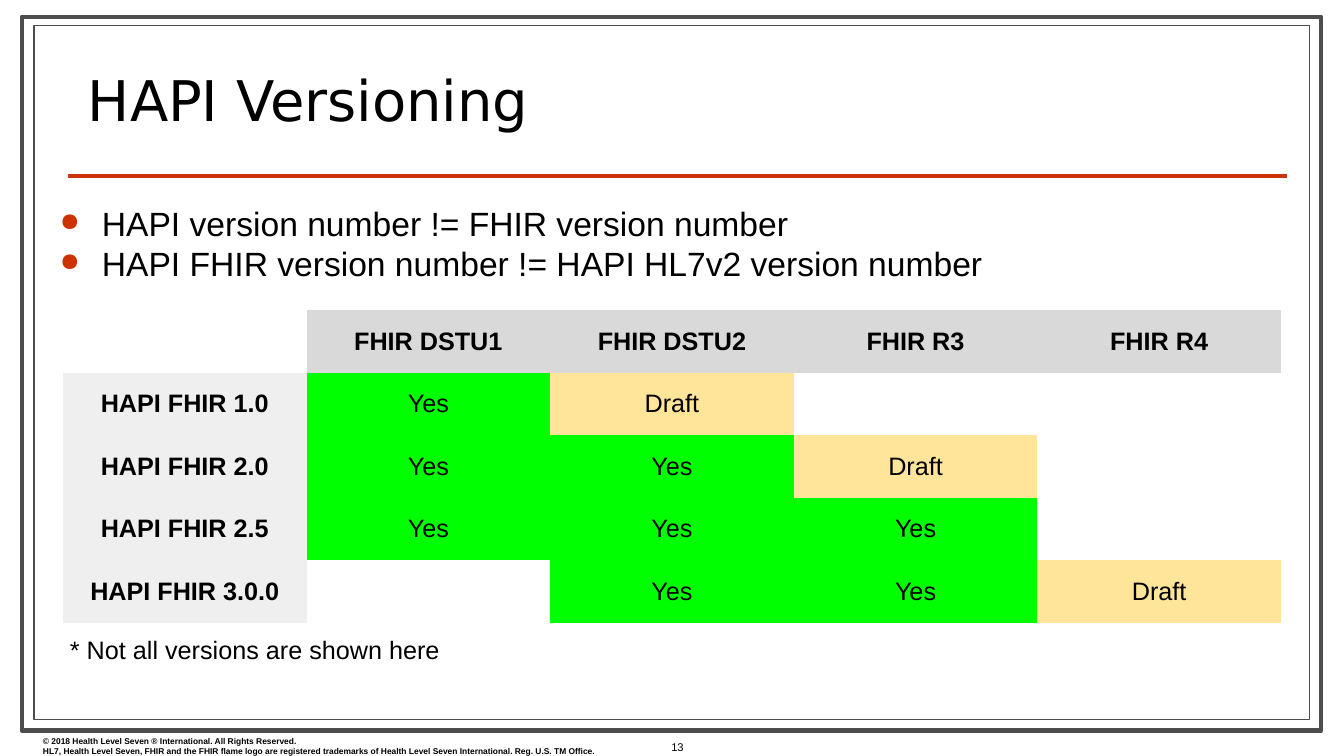
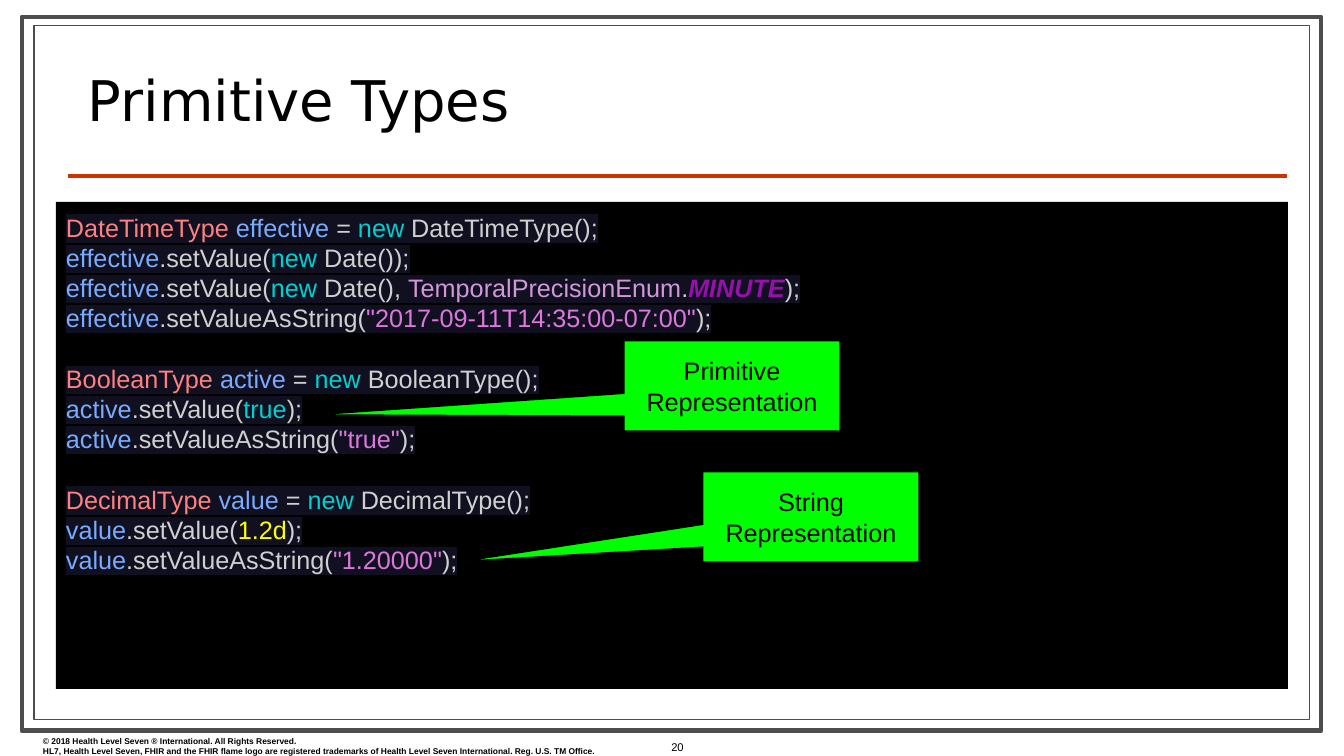
from lxml.etree import SubElement
from pptx import Presentation
from pptx.dml.color import RGBColor
from pptx.enum.shapes import MSO_CONNECTOR as Connector, MSO_SHAPE as Shape
from pptx.enum.text import MSO_ANCHOR as Anchor, PP_ALIGN as Align
from pptx.oxml.ns import qn
from pptx.util import Emu, Pt

SCALE = 914400 / 100.8
SLIDE_SIZE = (1344, 756)
BODY_FONT, TITLE_FONT = "Arial", "DejaVu Sans"
PLAIN_TABLE = "{2D5ABB26-0587-4C30-8999-92F81FD0307C}"

COLORS = {
    "ink": "000000", "paper": "FFFFFF", "frame": "4D4D4D", "accent": "CC3300",
    "column head": "D9D9D9", "row head": "EFEFEF", "Yes": "00FF00", "Draft": "FFE599",
    "callout": "00FF00", "highlight": "101020",
    "class": "FF8080", "variable": "79ABFF", "plain": "D0D0D0", "keyword": "00D0D0",
    "enum": "D197D9", "constant": "970FAC", "string": "DC78DC", "number": "FFFF00",
}

FRAMES = [((22, 17, 1299, 714), 3.5), ((34, 26, 1276, 694), 0.75)]
COPYRIGHT = [
    "© 2018 Health Level Seven ® International. All Rights Reserved.",
    "HL7, Health Level Seven, FHIR and the FHIR flame logo are registered trademarks of "
    "Health Level Seven International. Reg. U.S. TM Office.",
]

VERSION_RULES = [
    "HAPI version number != FHIR version number",
    "HAPI FHIR version number != HAPI HL7v2 version number",
]
SUPPORT = [
    ["", "FHIR DSTU1", "FHIR DSTU2", "FHIR R3", "FHIR R4"],
    ["HAPI FHIR 1.0", "Yes", "Draft", "", ""],
    ["HAPI FHIR 2.0", "Yes", "Yes", "Draft", ""],
    ["HAPI FHIR 2.5", "Yes", "Yes", "Yes", ""],
    ["HAPI FHIR 3.0.0", "", "Yes", "Yes", "Draft"],
]
SUPPORT_BOX = (63, 310, 1218, 313)
VERSION_NOTE = "* Not all versions are shown here"

CODE_BLOCKS = [
    [
        [("class", "DateTimeType "), ("variable", "effective "), ("plain", "= "),
         ("keyword", "new "), ("plain", "DateTimeType();")],
        [("variable", "effective"), ("plain", ".setValue("), ("keyword", "new "),
         ("plain", "Date());")],
        [("variable", "effective"), ("plain", ".setValue("), ("keyword", "new "),
         ("plain", "Date(), "), ("enum", "TemporalPrecisionEnum"), ("plain", "."),
         ("constant", "MINUTE"), ("plain", ");")],
        [("variable", "effective"), ("plain", ".setValueAsString("),
         ("string", '"2017-09-11T14:35:00-07:00"'), ("plain", ");")],
    ],
    [
        [("class", "BooleanType "), ("variable", "active "), ("plain", "= "),
         ("keyword", "new "), ("plain", "BooleanType();")],
        [("variable", "active"), ("plain", ".setValue("), ("keyword", "true"), ("plain", ");")],
        [("variable", "active"), ("plain", ".setValueAsString("), ("string", '"true"'),
         ("plain", ");")],
    ],
    [
        [("class", "DecimalType "), ("variable", "value "), ("plain", "= "),
         ("keyword", "new "), ("plain", "DecimalType();")],
        [("variable", "value"), ("plain", ".setValue("), ("number", "1.2d"), ("plain", ");")],
        [("variable", "value"), ("plain", ".setValueAsString("), ("string", '"1.20000"'),
         ("plain", ");")],
    ],
]
BLOCK_GAP = 21.6
CALLOUTS = [
    ("String Representation", (703, 472, 216, 90), (-1.6, 0.49, 0)),
    ("Primitive Representation", (624, 341, 216, 90), (-1.92, 0.32, 0)),
]


def px(length):
    """Turn px into EMU."""
    return Emu(round(length * SCALE))


def box_emu(box):
    """Turn a px box into EMU lengths."""
    return [px(length) for length in box]


def rgb(name):
    """Look up a palette colour."""
    return RGBColor.from_string(COLORS[name])


def style(font, size, color="ink", **formats):
    """Apply size, colour and other formats to a font."""
    formats = {"name": BODY_FONT, "size": Pt(size), **formats}
    for attribute, value in formats.items():
        setattr(font, attribute, value)
    font.color.rgb = rgb(color)


def set_frame(frame, anchor=Anchor.TOP, inset_y=10):
    """Set wrapping, anchor and insets of a text frame."""
    formats = {"word_wrap": True, "vertical_anchor": anchor,
               "margin_left": px(10), "margin_right": px(10),
               "margin_top": px(inset_y), "margin_bottom": px(inset_y)}
    for attribute, value in formats.items():
        setattr(frame, attribute, value)


def paragraphs(frame, count):
    """Yield the wanted number of paragraphs of a new text frame."""
    for index in range(count):
        yield frame.add_paragraph() if index else frame.paragraphs[0]


def add_text(slide, box, lines, size, align=Align.LEFT, anchor=Anchor.TOP, inset_y=10,
             bullet=False, line_spacing=None, **formats):
    """Add a text box with one paragraph per line."""
    frame = slide.shapes.add_textbox(*box_emu(box)).text_frame
    set_frame(frame, anchor, inset_y)
    for paragraph, line in zip(paragraphs(frame, len(lines)), lines):
        paragraph.alignment = align
        if line_spacing:
            paragraph.line_spacing = line_spacing
        if bullet:
            add_bullet(paragraph)
        run = paragraph.add_run()
        run.text = line
        style(run.font, size, **formats)


def add_bullet(paragraph):
    """Give a paragraph a hanging round bullet."""
    properties = paragraph._p.get_or_add_pPr()
    properties.set("marL", str(px(50)))
    properties.set("indent", str(-px(42)))
    color = SubElement(properties, qn("a:buClr"))
    SubElement(color, qn("a:srgbClr"), val=COLORS["accent"])
    SubElement(properties, qn("a:buSzPct"), val="75000")
    SubElement(properties, qn("a:buChar"), char="●")


def add_block(slide, preset, box, fill, line=None, width=0.75):
    """Add a filled shape, outlined if a line colour is given."""
    block = slide.shapes.add_shape(preset, *box_emu(box))
    block.shadow.inherit = False
    block.fill.solid()
    block.fill.fore_color.rgb = rgb(fill)
    if line:
        block.line.color.rgb = rgb(line)
        block.line.width = Pt(width)
    else:
        block.line.fill.background()
    return block


def add_base(deck, title, number):
    """Add a slide with the shared frame, rule, title and footer."""
    slide = deck.slides.add_slide(deck.slide_layouts[6])
    for box, width in FRAMES:
        add_block(slide, Shape.RECTANGLE, box, "paper", "frame", width)
    rule = slide.shapes.add_connector(Connector.STRAIGHT, *box_emu((68, 176, 1287, 176)))
    rule.line.color.rgb = rgb("accent")
    rule.line.width = Pt(3)
    SubElement(rule._element.spPr, qn("a:effectLst"))
    add_text(slide, (33, 731, 649, 30), COPYRIGHT, 6, inset_y=5, bold=True)
    add_text(slide, (78, 51, 1199, 91), [title], 40, anchor=Anchor.BOTTOM,
             line_spacing=0.8, name=TITLE_FONT)
    add_text(slide, (638, 721, 79, 52), [str(number)], 8, Align.CENTER, Anchor.MIDDLE, 5)
    return slide


def add_support_table(slide):
    """Add the table of supported versions."""
    graphic = slide.shapes.add_table(len(SUPPORT), len(SUPPORT[0]), *box_emu(SUPPORT_BOX))
    table = graphic.table
    table.first_row = table.horz_banding = False
    table._tbl.tblPr.find(qn("a:tableStyleId")).text = PLAIN_TABLE
    for column in table.columns:
        column.width = px(SUPPORT_BOX[2] / len(SUPPORT[0]))
    for row_index, texts in enumerate(SUPPORT):
        table.rows[row_index].height = px(SUPPORT_BOX[3] / len(SUPPORT))
        for column_index, text in enumerate(texts):
            cell = table.cell(row_index, column_index)
            if not text:
                cell.fill.background()
                continue
            head = "column head" if row_index == 0 else "row head" if column_index == 0 else None
            cell.fill.solid()
            cell.fill.fore_color.rgb = rgb(head or text)
            cell.vertical_anchor = Anchor.MIDDLE
            cell.text = text
            paragraph = cell.text_frame.paragraphs[0]
            paragraph.alignment = Align.CENTER
            style(paragraph.runs[0].font, 18, bold=bool(head))


def add_code(slide):
    """Add the code panel with coloured, highlighted tokens."""
    panel = add_block(slide, Shape.RECTANGLE, (56, 202, 1232, 487), "ink")
    frame = panel.text_frame
    set_frame(frame)
    lines = [(block_index > 0 and line_index == 0, tokens)
             for block_index, block in enumerate(CODE_BLOCKS)
             for line_index, tokens in enumerate(block)]
    for paragraph, (starts_block, tokens) in zip(paragraphs(frame, len(lines)), lines):
        paragraph.alignment = Align.LEFT
        if starts_block:
            paragraph.space_before = Pt(BLOCK_GAP)
        for role, text in tokens:
            run = paragraph.add_run()
            run.text = text
            constant = role == "constant"
            style(run.font, 18, role, bold=constant, italic=constant)
            highlight = SubElement(run._r.rPr, qn("a:highlight"))
            SubElement(highlight, qn("a:srgbClr"), val=COLORS["highlight"])
            run._r.rPr.find(qn("a:solidFill")).addnext(highlight)


def add_callout(slide, text, box, tail):
    """Add a callout whose tail points at a line of code."""
    callout = add_block(slide, Shape.ROUNDED_RECTANGULAR_CALLOUT, box, "callout", "ink")
    for index, value in enumerate(tail):
        callout.adjustments[index] = value
    set_frame(callout.text_frame, Anchor.MIDDLE)
    paragraph = callout.text_frame.paragraphs[0]
    paragraph.alignment = Align.CENTER
    run = paragraph.add_run()
    run.text = text
    style(run.font, 18)


def main():
    """Build and save both slides."""
    deck = Presentation()
    deck.slide_width, deck.slide_height = box_emu(SLIDE_SIZE)

    versioning = add_base(deck, "HAPI Versioning", 13)
    add_text(versioning, (42, 193, 1235, 95), VERSION_RULES, 24, bullet=True)
    add_support_table(versioning)
    add_text(versioning, (60, 624, 1235, 95), [VERSION_NOTE], 18)

    primitives = add_base(deck, "Primitive Types", 20)
    add_code(primitives)
    for callout in CALLOUTS:
        add_callout(primitives, *callout)

    deck.save("out.pptx")


if __name__ == "__main__":
    main()
